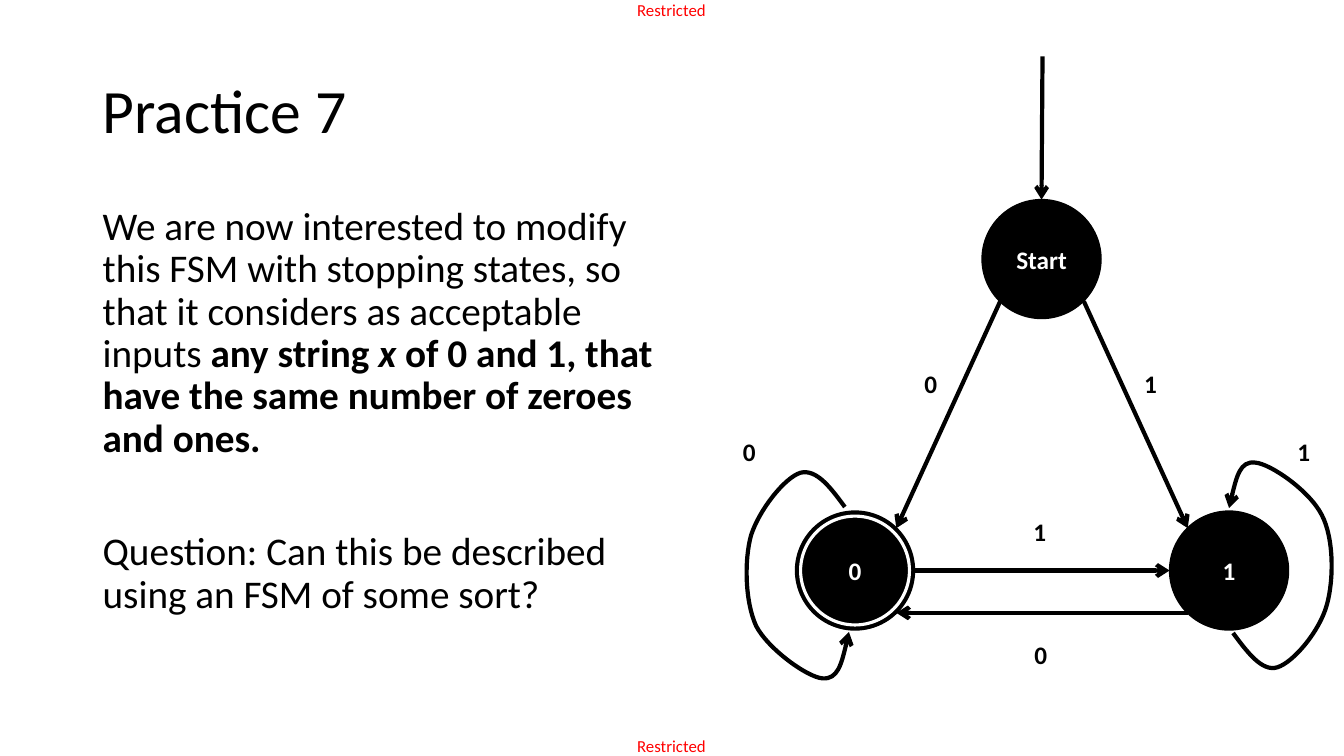
from pptx import Presentation
from pptx.dml.color import RGBColor
from pptx.enum.shapes import MSO_CONNECTOR as Link, MSO_SHAPE as Shape
from pptx.enum.text import MSO_ANCHOR as Anchor, PP_ALIGN as Align
from pptx.oxml.ns import qn
from pptx.util import Inches, Pt
from lxml.etree import SubElement

BLACK, WHITE, RED = "000000", "FFFFFF", "FF0000"
SIZE = 1.18


def color(code):
    return RGBColor.from_string(code)


def style(par, size, code=BLACK, bold=None):
    font = par.font
    font.name, font.size, font.bold = "Calibri", Pt(size), bold
    font.color.rgb = color(code)


def add_box(slide, left, top, width, height, inset=True, wrap=False):
    box = slide.shapes.add_textbox(*map(Inches, (left, top, width, height)))
    frame = box.text_frame
    frame.word_wrap = wrap
    if not inset:
        frame.margin_left = frame.margin_right = 0
        frame.margin_top = frame.margin_bottom = 0
    return frame


def add_mark(slide, top):
    par = add_box(slide, 6.32, top, 0.73, 0.2, inset=False).paragraphs[0]
    par.text = "Restricted"
    style(par, 12, RED)


def add_title(slide, text):
    frame = add_box(slide, 0.92, 0.4, 11.5, 1.45, wrap=True)
    frame.vertical_anchor = Anchor.MIDDLE
    par = frame.paragraphs[0]
    par.text = text
    par.line_spacing = 0.9
    style(par, 44)


def add_body(slide):
    frame = add_box(slide, 0.92, 2, 5.67, 5.5, wrap=True)
    first, last = frame.paragraphs[0], frame.add_paragraph()
    for text, bold, slant in (
        ("We are now interested to modify this FSM with stopping states, "
         "so that it considers as acceptable inputs ", None, None),
        ("any string ", True, None),
        ("x", True, True),
        (" of 0 and 1, that have the same number of zeroes and ones.", True, None),
    ):
        run = first.add_run()
        run.text = text
        run.font.bold, run.font.italic = bold, slant
    last.text = "Question: Can this be described using an FSM of some sort?"
    last.space_before = Pt(51)
    for par in (first, last):
        par.line_spacing = 0.9
        style(par, 28)


def add_label(slide, text, left, top):
    par = add_box(slide, left, top, 0.35, 0.4).paragraphs[0]
    par.text = text
    style(par, 18, bold=True)


def add_state(slide, left, top, text="", size=SIZE, edge=BLACK, weight=1):
    state = slide.shapes.add_shape(
        Shape.OVAL, *map(Inches, (left, top, size, size)))
    state.shadow.inherit = False
    state.fill.solid()
    state.fill.fore_color.rgb = color(BLACK)
    state.line.color.rgb = color(edge)
    state.line.width = Pt(weight)
    if text:
        frame = state.text_frame
        frame.vertical_anchor = Anchor.MIDDLE
        par = frame.paragraphs[0]
        par.text = text
        par.alignment = Align.CENTER
        style(par, 18, WHITE, True)


def set_arrow(line):
    line.color.rgb = color(BLACK)
    line.width = Pt(3)
    SubElement(line._get_or_add_ln(), qn("a:tailEnd"), type="arrow")


def add_arrow(slide, *ends):
    arrow = slide.shapes.add_connector(Link.STRAIGHT, *map(Inches, ends))
    set_arrow(arrow.line)
    SubElement(arrow._element.spPr, qn("a:effectLst"))


def add_loop(slide, *points):
    start, *rest = [tuple(map(Inches, point)) for point in points]
    pen = slide.shapes.build_freeform(*start)
    pen.add_line_segments(rest, close=False)
    loop = pen.convert_to_shape()
    loop.shadow.inherit = False
    loop.fill.background()
    set_arrow(loop.line)
    path = next(loop._element.iter(qn("a:path")))
    steps = path.findall(qn("a:lnTo"))
    for i in range(0, len(steps), 3):
        curve = SubElement(path, qn("a:cubicBezTo"))
        for step in steps[i:i + 3]:
            curve.append(step[0])
            path.remove(step)


def main():
    deck = Presentation()
    deck.slide_width, deck.slide_height = Inches(13.33), Inches(7.5)
    slide = deck.slides.add_slide(deck.slide_layouts[6])

    for top in (0, 7.3):
        add_mark(slide, top)
    add_title(slide, "Practice 7")
    add_body(slide)

    add_state(slide, 9.74, 1.98, "Start")
    add_state(slide, 7.89, 5.07)
    add_state(slide, 7.94, 5.12, "0", size=1.08, edge=WHITE, weight=2.25)
    add_state(slide, 11.6, 5.07, "1")

    for ends in (
        (10.34, 0.56, 10.33, 1.98),
        (10.75, 2.99, 11.78, 5.24),
        (9.92, 2.99, 8.89, 5.24),
        (11.78, 6.08, 8.89, 6.08),
        (9.07, 5.66, 11.6, 5.66),
    ):
        add_arrow(slide, *ends)

    add_loop(slide, (8.38, 5.03),
             (8.24, 4.84), (8.1, 4.65), (7.94, 4.69),
             (7.78, 4.74), (7.53, 5.06), (7.45, 5.31),
             (7.38, 5.56), (7.39, 5.97), (7.5, 6.21),
             (7.62, 6.44), (8.01, 6.72), (8.16, 6.73),
             (8.31, 6.74), (8.37, 6.51), (8.42, 6.27))
    add_loop(slide, (12.23, 6.28),
             (12.37, 6.47), (12.52, 6.67), (12.67, 6.62),
             (12.83, 6.57), (13.09, 6.26), (13.16, 6),
             (13.23, 5.75), (13.23, 5.34), (13.11, 5.11),
             (12.99, 4.87), (12.6, 4.6), (12.45, 4.59),
             (12.3, 4.57), (12.24, 4.81), (12.19, 5.04))

    for text, left, top in (
        ("1", 11.25, 3.6), ("0", 9.07, 3.6),
        ("0", 10.16, 6.29), ("1", 10.15, 5.07),
        ("1", 12.77, 4.28), ("0", 7.27, 4.28),
    ):
        add_label(slide, text, left, top)

    deck.save("out.pptx")


if __name__ == "__main__":
    main()
